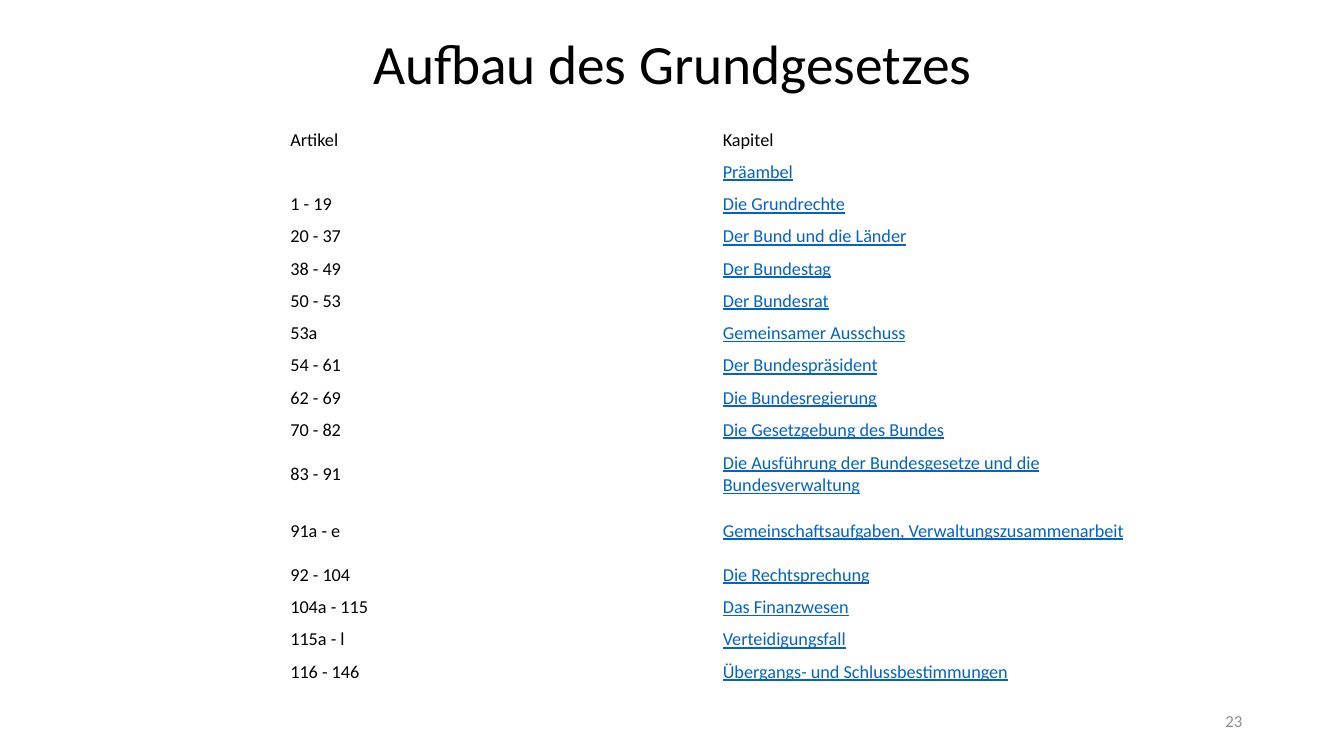
from lxml import etree
from pptx import Presentation
from pptx.dml.color import RGBColor
from pptx.enum.text import MSO_ANCHOR, PP_ALIGN
from pptx.oxml.ns import qn
from pptx.util import Inches, Pt

MIDDLE = MSO_ANCHOR.MIDDLE
CENTER, RIGHT = PP_ALIGN.CENTER, PP_ALIGN.RIGHT
BLACK = RGBColor(0x00, 0x00, 0x00)
LINK_BLUE = RGBColor(0x05, 0x63, 0xC1)
GREY = RGBColor(0x8C, 0x8C, 0x8C)

FONT = "Calibri"
BODY_SIZE = 13
COLUMN, ROW, TALL_ROW = Inches(4.29), Inches(0.32), Inches(0.56)
TALL_ARTICLES = ("83 - 91", "91a - e")

CHAPTERS = [
    ("Artikel", "Kapitel"),
    ("", "Präambel"),
    ("1 - 19", "Die Grundrechte"),
    ("20 - 37", "Der Bund und die Länder"),
    ("38 - 49", "Der Bundestag"),
    ("50 - 53", "Der Bundesrat"),
    ("53a", "Gemeinsamer Ausschuss"),
    ("54 - 61", "Der Bundespräsident"),
    ("62 - 69", "Die Bundesregierung"),
    ("70 - 82", "Die Gesetzgebung des Bundes"),
    ("83 - 91", "Die Ausführung der Bundesgesetze und die Bundesverwaltung"),
    ("91a - e", "Gemeinschaftsaufgaben, Verwaltungszusammenarbeit"),
    ("92 - 104", "Die Rechtsprechung"),
    ("104a - 115", "Das Finanzwesen"),
    ("115a - l", "Verteidigungsfall"),
    ("116 - 146", "Übergangs- und Schlussbestimmungen"),
]


def write(paragraph, text, size, color, underline=False):
    run = paragraph.add_run()
    run.text = text
    run.font.name = FONT
    run.font.size = Pt(size)
    run.font.color.rgb = color
    run.font.underline = underline


prs = Presentation()
prs.slide_width, prs.slide_height = Inches(13.33), Inches(7.5)
slide = prs.slides.add_slide(prs.slide_layouts[6])

# Heading and page number
for text, box, size, color, align, spacing in [
    ("Aufbau des Grundgesetzes", (0.92, 0.4, 11.5, 0.52), 39.6, BLACK, CENTER, 0.9),
    ("23", (9.42, 6.95, 3, 0.4), 12, GREY, RIGHT, 1.0),
]:
    frame = slide.shapes.add_textbox(*map(Inches, box)).text_frame
    frame.word_wrap = True
    frame.vertical_anchor = MIDDLE
    line = frame.paragraphs[0]
    line.alignment = align
    line.line_spacing = spacing
    write(line, text, size, color)

# Table of chapters
heights = [TALL_ROW if article in TALL_ARTICLES else ROW for article, _ in CHAPTERS]
chapters = slide.shapes.add_table(
    len(CHAPTERS), 2, Inches(2.81), Inches(1.23), 2 * COLUMN, sum(heights)
).table
chapters.first_row = chapters.horz_banding = False
for column in chapters.columns:
    column.width = COLUMN

CELL_FORMAT = {
    "vertical_anchor": MIDDLE,
    "margin_left": Inches(0.07),
    "margin_right": Inches(0.07),
    "margin_top": Inches(0.04),
    "margin_bottom": Inches(0.04),
}
for r, entry in enumerate(CHAPTERS):
    chapters.rows[r].height = heights[r]
    for c, text in enumerate(entry):
        cell = chapters.cell(r, c)
        cell.fill.background()
        for name, value in CELL_FORMAT.items():
            setattr(cell, name, value)
        paragraph = cell.text_frame.paragraphs[0]
        is_link = c == 1 and r > 0
        if text:
            write(paragraph, text, BODY_SIZE, LINK_BLUE if is_link else BLACK, is_link)
        else:
            # An empty cell needs the body size to keep its row low
            etree.SubElement(paragraph._p, qn("a:endParaRPr"), sz=str(BODY_SIZE * 100))

prs.save("out.pptx")
